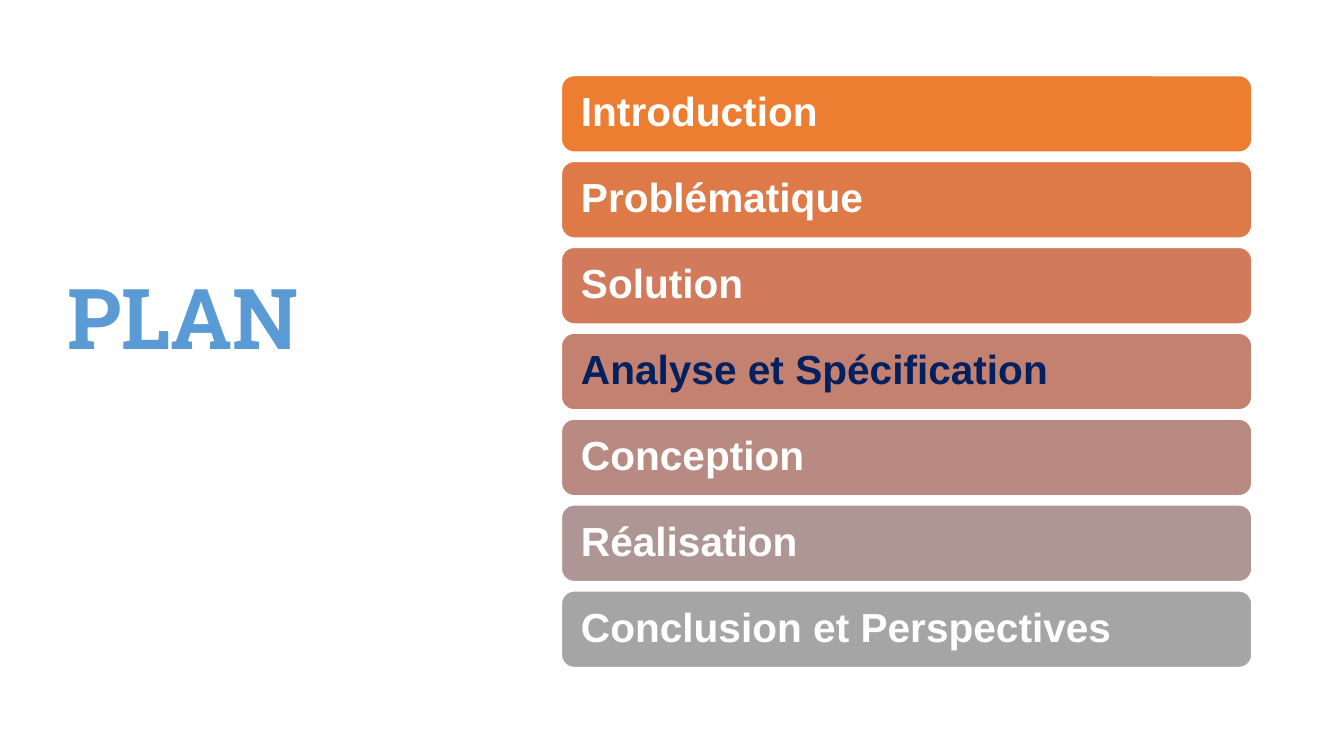
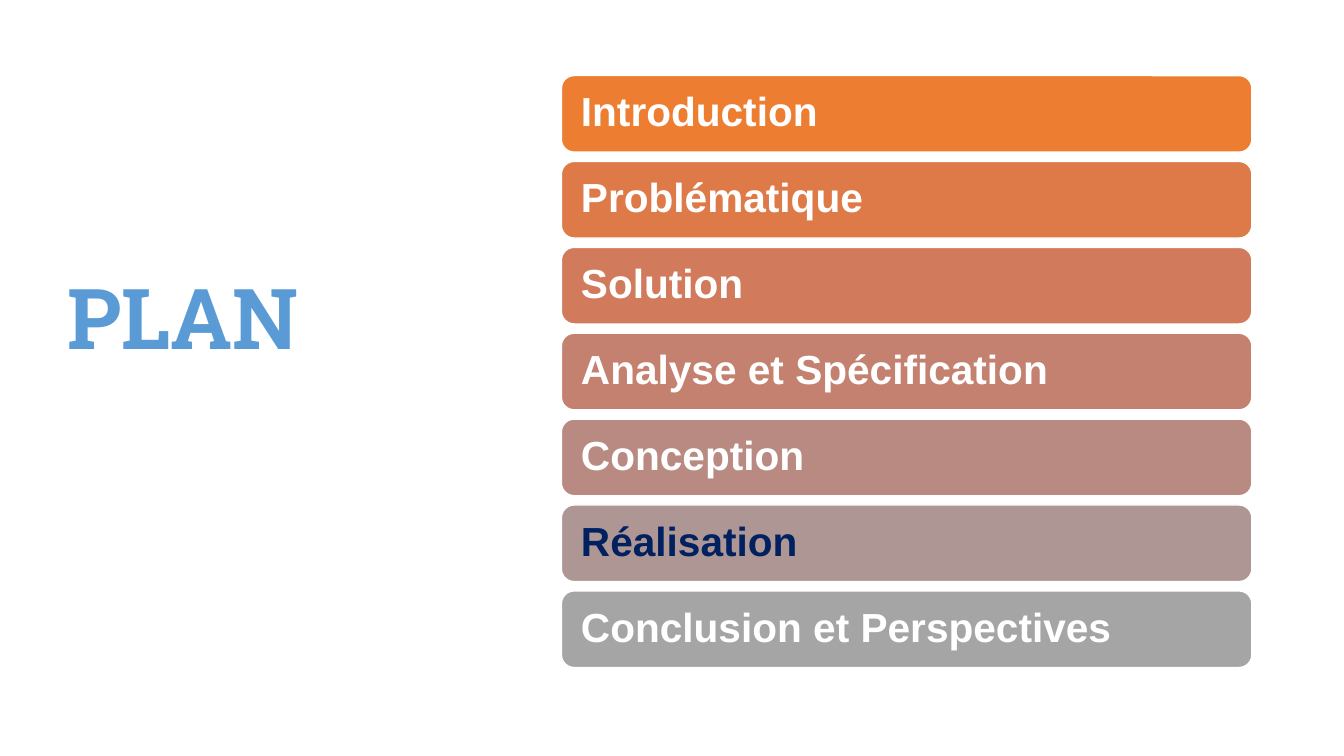
"""Build two agenda slides, each highlighting its current section."""
from dataclasses import dataclass

from pptx import Presentation
from pptx.dml.color import RGBColor
from pptx.enum.shapes import MSO_SHAPE
from pptx.enum.text import MSO_ANCHOR, PP_ALIGN
from pptx.util import Pt

ROUNDED = MSO_SHAPE.ROUNDED_RECTANGLE
MIDDLE = MSO_ANCHOR.MIDDLE
LEFT = PP_ALIGN.LEFT

TITLE = "PLAN"
SECTIONS = [
    ("Introduction", "ED7D31"),
    ("Problématique", "DE7A47"),
    ("Solution", "D17B5C"),
    ("Analyse et Spécification", "C48170"),
    ("Conception", "B98A82"),
    ("Réalisation", "AE9694"),
    ("Conclusion et Perspectives", "A5A5A5"),
]
CURRENT_SECTIONS = ["Analyse et Spécification", "Réalisation"]


@dataclass(frozen=True)
class Theme:
    title_color: str = "5B9BD5"
    title_font: str = "Roboto Slab"
    title_size: int = 60
    bar_color: str = "FFFFFF"
    current_color: str = "002060"
    bar_font: str = "Arial"
    bar_size: int = 29
    line_spacing: float = 0.9


THEME = Theme()
SLIDE_W, SLIDE_H = 960, 540
TITLE_BOX = (41, 49, 300, 362)
BAR_X, BAR_Y, BAR_W, BAR_H, BAR_GAP = 401, 54, 493.2, 54.7, 6.65
BAR_INSET = 11.3


def rgb(color):
    return RGBColor.from_string(color)


def write(shape, text, font, size, color):
    tf = shape.text_frame
    tf.word_wrap = True
    tf.vertical_anchor = MIDDLE
    p = tf.paragraphs[0]
    p.text = text
    p.alignment = LEFT
    p.line_spacing = THEME.line_spacing
    p.font.name = font
    p.font.size = Pt(size)
    p.font.bold = True
    p.font.color.rgb = rgb(color)


def add_title(s):
    box = s.shapes.add_textbox(*map(Pt, TITLE_BOX))
    write(box, TITLE, THEME.title_font, THEME.title_size, THEME.title_color)


def add_bar(s, index, label, fill, is_current):
    y = BAR_Y + index * (BAR_H + BAR_GAP)
    bar = s.shapes.add_shape(ROUNDED, Pt(BAR_X), Pt(y), Pt(BAR_W), Pt(BAR_H))
    bar.shadow.inherit = False
    bar.fill.solid()
    bar.fill.fore_color.rgb = rgb(fill)
    bar.line.color.rgb = rgb(THEME.bar_color)
    bar.line.width = Pt(1)
    bar.text_frame.margin_left = Pt(BAR_INSET)
    color = THEME.current_color if is_current else THEME.bar_color
    write(bar, label, THEME.bar_font, THEME.bar_size, color)


def add_plan_slide(prs, current):
    s = prs.slides.add_slide(prs.slide_layouts[6])
    add_title(s)
    for index, (label, fill) in enumerate(SECTIONS):
        add_bar(s, index, label, fill, label == current)


def main():
    prs = Presentation()
    prs.slide_width, prs.slide_height = Pt(SLIDE_W), Pt(SLIDE_H)
    for current in CURRENT_SECTIONS:
        add_plan_slide(prs, current)
    prs.save("out.pptx")


if __name__ == "__main__":
    main()
